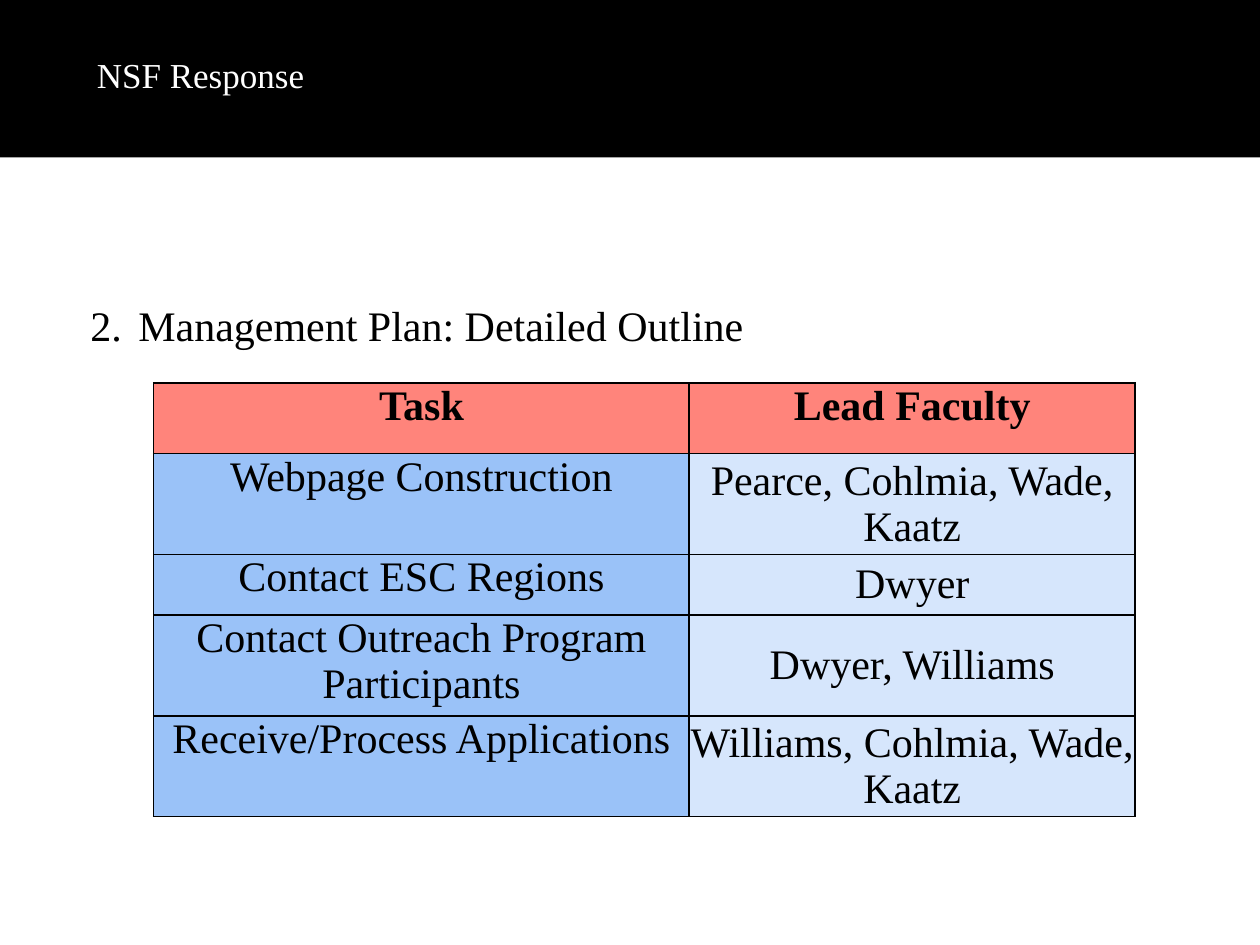
from lxml.etree import SubElement
from pptx import Presentation
from pptx.dml.color import RGBColor
from pptx.enum.shapes import MSO_SHAPE
from pptx.enum.text import MSO_ANCHOR, PP_ALIGN
from pptx.oxml.ns import qn
from pptx.util import Inches, Pt

FONT = "Times New Roman"
BLACK, WHITE = "000000", "FFFFFF"
HEADER_FILL, TASK_FILL, FACULTY_FILL = "FF847B", "9AC2F8", "D6E6FC"
ASSIGNMENTS = [
    ("Task", "Lead Faculty"),
    ("Webpage Construction", "Pearce, Cohlmia, Wade, Kaatz"),
    ("Contact ESC Regions", "Dwyer"),
    ("Contact Outreach Program Participants", "Dwyer, Williams"),
    ("Receive/Process Applications", "Williams, Cohlmia, Wade, Kaatz"),
]
COLUMN_WIDTHS = (4.25, 3.54)
ROW_HEIGHTS = (0.56, 0.74, 0.48, 0.74, 0.74)


def color(hex_value):
    """Turn a hex string into a colour."""
    return RGBColor.from_string(hex_value)


def style_text(paragraph, size, hex_value, bold=False):
    """Format every run of a paragraph."""
    for run in paragraph.runs:
        run.font.name = FONT
        run.font.size = Pt(size)
        run.font.bold = bold
        run.font.color.rgb = color(hex_value)


def add_banner(slide, left, top, width, height):
    """Draw the black band across the top."""
    band = slide.shapes.add_shape(MSO_SHAPE.RECTANGLE, left, top, width, height)
    band.shadow.inherit = False
    band.fill.solid()
    band.fill.fore_color.rgb = color(BLACK)
    band.line.fill.background()


def add_title(slide, left, top, width, height):
    """Place the slide title, centred vertically in its box."""
    title = slide.shapes.add_textbox(left, top, width, height).text_frame
    title.word_wrap = True
    title.vertical_anchor = MSO_ANCHOR.MIDDLE
    title.text = "NSF Response"
    style_text(title.paragraphs[0], 20, WHITE)


def add_plan_heading(slide, left, top, width, height):
    """Place the numbered heading with a hanging indent."""
    heading = slide.shapes.add_textbox(left, top, width, height).text_frame
    heading.word_wrap = True
    heading.text = "2.\tManagement Plan: Detailed Outline"
    paragraph = heading.paragraphs[0]
    properties = paragraph._p.get_or_add_pPr()
    properties.set("marL", str(Inches(0.38)))
    properties.set("indent", str(-Inches(0.38)))
    style_text(paragraph, 24, BLACK)


def add_borders(cell):
    """Give a cell thin black borders, placed ahead of its fill."""
    properties = cell._tc.get_or_add_tcPr()
    for index, side in enumerate(("a:lnL", "a:lnR", "a:lnT", "a:lnB")):
        border = SubElement(properties, qn(side), w=str(Pt(1)))
        fill = SubElement(border, qn("a:solidFill"))
        SubElement(fill, qn("a:srgbClr"), val=BLACK)
        properties.insert(index, border)


def add_assignment_table(slide, left, top, width, height):
    """Build the table of tasks and their lead faculty."""
    table = slide.shapes.add_table(
        len(ASSIGNMENTS), len(COLUMN_WIDTHS), left, top, width, height
    ).table
    for column, column_width in zip(table.columns, COLUMN_WIDTHS):
        column.width = Inches(column_width)
    for row, row_height in zip(table.rows, ROW_HEIGHTS):
        row.height = Inches(row_height)
    for row_index, assignment in enumerate(ASSIGNMENTS):
        is_header = row_index == 0
        for column_index, wording in enumerate(assignment):
            is_faculty = column_index == 1 and not is_header
            cell = table.cell(row_index, column_index)
            cell.text = wording
            cell.margin_left = cell.margin_right = 0
            cell.margin_top = cell.margin_bottom = 0
            cell.vertical_anchor = MSO_ANCHOR.MIDDLE if is_faculty else MSO_ANCHOR.TOP
            body_fill = FACULTY_FILL if is_faculty else TASK_FILL
            cell.fill.solid()
            cell.fill.fore_color.rgb = color(HEADER_FILL if is_header else body_fill)
            add_borders(cell)
            paragraph = cell.text_frame.paragraphs[0]
            paragraph.alignment = PP_ALIGN.CENTER
            style_text(paragraph, 24, BLACK, is_header)


def main():
    """Build and save the slide."""
    deck = Presentation()
    deck.slide_width, deck.slide_height = Inches(10), Inches(7.5)
    slide = deck.slides.add_slide(deck.slide_layouts[6])
    add_banner(slide, 0, 0, deck.slide_width, Inches(1.25))
    add_title(slide, Inches(0.67), Inches(-0.03), Inches(8.22), Inches(1.25))
    add_plan_heading(slide, Inches(0.62), Inches(2.33), Inches(9), Inches(4.95))
    add_assignment_table(
        slide, Inches(1.22), Inches(3.04),
        Inches(sum(COLUMN_WIDTHS)), Inches(sum(ROW_HEIGHTS)),
    )
    deck.save("out.pptx")


if __name__ == "__main__":
    main()
